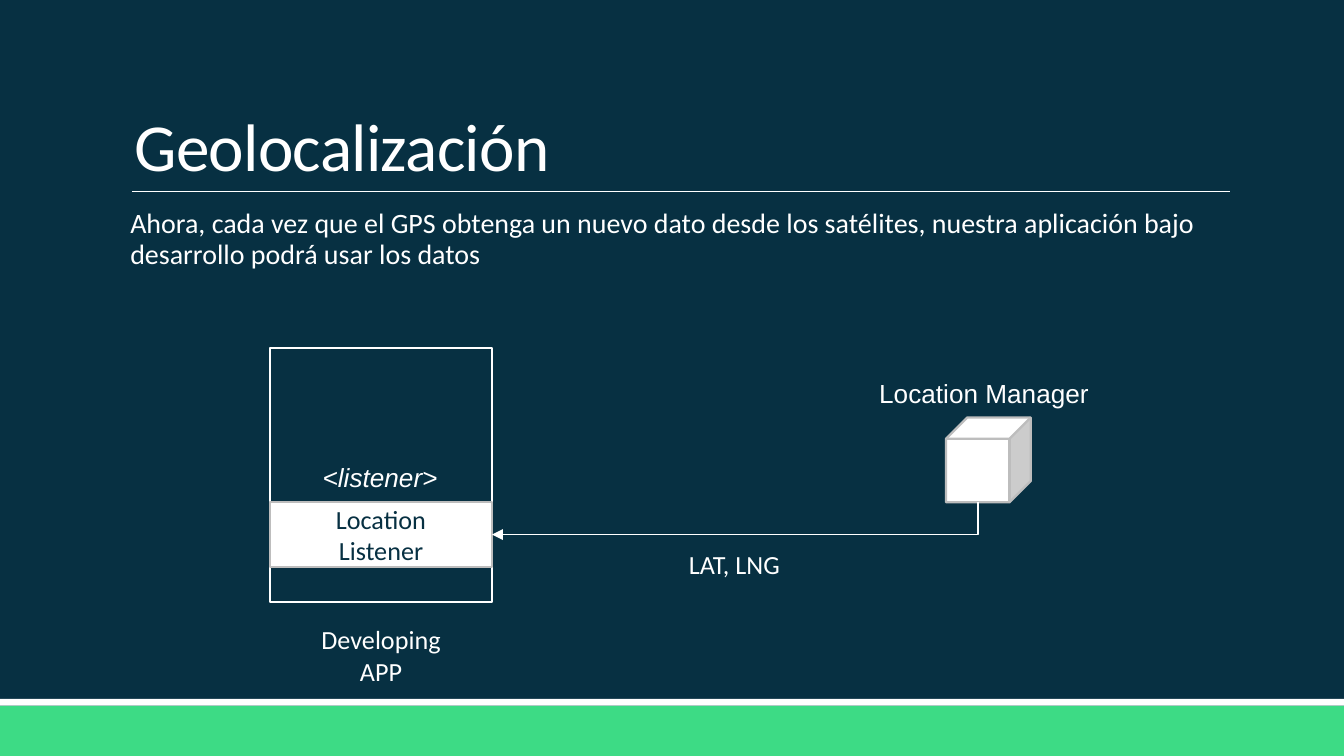
from dataclasses import dataclass

import lxml.etree
import pptx
import pptx.dml.color
import pptx.enum.shapes
import pptx.enum.text
import pptx.oxml.ns
import pptx.util

Pt = pptx.util.Pt
Shape = pptx.enum.shapes.MSO_SHAPE
Connector = pptx.enum.shapes.MSO_CONNECTOR
Anchor = pptx.enum.text.MSO_ANCHOR
Align = pptx.enum.text.PP_ALIGN
Fit = pptx.enum.text.MSO_AUTO_SIZE
qn = pptx.oxml.ns.qn


def color(hex_value):
    return pptx.dml.color.RGBColor.from_string(hex_value)


def set_all(target, values):
    for name, value in values.items():
        setattr(target, name, value)


@dataclass
class SlideBuilder:
    slide: object
    navy: str = "073042"
    green: str = "3DDB85"
    white: str = "FFFFFF"
    gray: str = "BDBDBD"
    font: str = "Calibri"
    label_size: float = 14

    def background(self):
        fill = self.slide.background.fill
        fill.solid()
        fill.fore_color.rgb = color(self.navy)

    def add_text(self, shape, lines, ink=None, frame=None, paragraph=None, font=None):
        text = shape.text_frame
        text.text = "\n".join(lines)
        set_all(text, {"word_wrap": True, "auto_size": Fit.NONE,
                       "vertical_anchor": Anchor.MIDDLE, **(frame or {})})
        for line in text.paragraphs:
            set_all(line, {"alignment": Align.CENTER, **(paragraph or {})})
            run = line.runs[0]
            set_all(run.font, {"name": self.font, "size": Pt(self.label_size),
                               **(font or {})})
            run.font.color.rgb = color(ink or self.white)

    def placeholder(self, index, box, text, frame, paragraph, font):
        holder = self.slide.placeholders[index]
        set_all(holder, dict(zip(("left", "top", "width", "height"), map(Pt, box))))
        self.add_text(holder, [text], None, frame,
                      {"alignment": Align.LEFT, **paragraph}, font)
        return holder

    def block(self, kind, box, fill, outline=None):
        shape = self.slide.shapes.add_shape(kind, *map(Pt, box))
        shape.shadow.inherit = False
        shape.fill.solid()
        shape.fill.fore_color.rgb = color(fill)
        if outline:
            shape.line.color.rgb = color(outline)
            shape.line.width = Pt(1.25)
        else:
            shape.line.fill.background()
        return shape

    def label(self, box, text, **formats):
        self.add_text(self.slide.shapes.add_textbox(*map(Pt, box)), [text], **formats)

    def line(self, kind, ends, width):
        line = self.slide.shapes.add_connector(kind, *map(Pt, ends))
        line.line.color.rgb = color(self.white)
        line.line.width = Pt(width)
        lxml.etree.SubElement(line._element.spPr, qn("a:effectLst"))
        return line

    def corner_arrow(self, start, end):
        """Go down from start, then left to end: a one-bend line turned by 90°."""
        (x1, y1), (x2, y2) = start, end
        middle_x, middle_y = (x1 + x2) / 2, (y1 + y2) / 2
        half_run, half_drop = (x1 - x2) / 2, (y2 - y1) / 2
        arrow = self.line(Connector.ELBOW,
                          (middle_x - half_drop, middle_y - half_run,
                           middle_x + half_drop, middle_y + half_run), 1)
        properties = arrow._element.spPr
        properties.find(qn("a:prstGeom")).set("prst", "bentConnector2")
        properties.find(qn("a:xfrm")).set("rot", "5400000")
        lxml.etree.SubElement(properties.find(qn("a:ln")), qn("a:tailEnd"), type="triangle")


def main():
    deck = pptx.Presentation()
    deck.slide_width, deck.slide_height = Pt(720), Pt(405)
    builder = SlideBuilder(deck.slides.add_slide(deck.slide_layouts[1]))

    # Background, footer bands and title rule
    builder.background()
    builder.block(Shape.RECTANGLE, (0, 378, 720, 27), builder.green)
    builder.block(Shape.RECTANGLE, (0, 374.4, 720, 3.6), builder.white)
    builder.line(Connector.STRAIGHT, (70.6, 102.7, 658.8, 102.7), 0.5)

    # Title and introduction
    title = builder.placeholder(
        0, (64.8, 17, 594, 85.7), "Geolocalización",
        {"vertical_anchor": Anchor.BOTTOM}, {"line_spacing": 0.85}, {"size": Pt(36)})
    title.text_frame.paragraphs[0].runs[0].font._element.set("spc", "-40")

    intro = builder.placeholder(
        1, (64.8, 108.7, 594, 237.6),
        "Ahora, cada vez que el GPS obtenga un nuevo dato desde los satélites, "
        "nuestra aplicación bajo desarrollo podrá usar los datos",
        {"vertical_anchor": Anchor.TOP, "margin_left": 0, "margin_right": 0},
        {"line_spacing": 0.9, "space_before": Pt(9), "space_after": Pt(1.5)},
        {"size": Pt(15)})
    bullet = intro.text_frame.paragraphs[0]._p.get_or_add_pPr()
    bullet.set("marL", str(Pt(5)))
    bullet.set("indent", str(-Pt(5)))
    lxml.etree.SubElement(bullet, qn("a:buChar"), char=" ")

    # Application with its location listener
    app_left, app_width = 144.7, 118.8
    listener_top, listener_height = 269, 34.8
    builder.block(Shape.RECTANGLE, (app_left, 186.5, app_width, 136),
                  builder.navy, builder.white)
    builder.label((157.7, 324, 92.9, 54), "Developing APP")
    listener = builder.block(Shape.RECTANGLE,
                             (app_left, listener_top, app_width, listener_height),
                             builder.white, builder.gray)
    builder.add_text(listener, ["Location", "Listener"], builder.navy)
    arial_frame = {"vertical_anchor": Anchor.TOP, "auto_size": Fit.SHAPE_TO_FIT_TEXT}
    builder.label((165.8, 243.7, 76.3, 24.2), "<listener>",
                  frame={**arial_frame, "word_wrap": False},
                  paragraph={"alignment": Align.LEFT},
                  font={"name": "Arial", "italic": True})

    # Location manager
    builder.block(Shape.CUBE, (506.8, 223.7, 45.4, 45.4), builder.white, builder.gray)
    builder.label((457, 198.7, 140.4, 24.2), "Location Manager",
                  frame=arial_frame, font={"name": "Arial"})

    # Position data sent to the listener
    builder.corner_arrow((523.8, 269), (app_left + app_width,
                                        listener_top + listener_height / 2))
    builder.label((347, 275.3, 92.9, 54), "LAT, LNG")

    deck.save("out.pptx")


if __name__ == "__main__":
    main()
